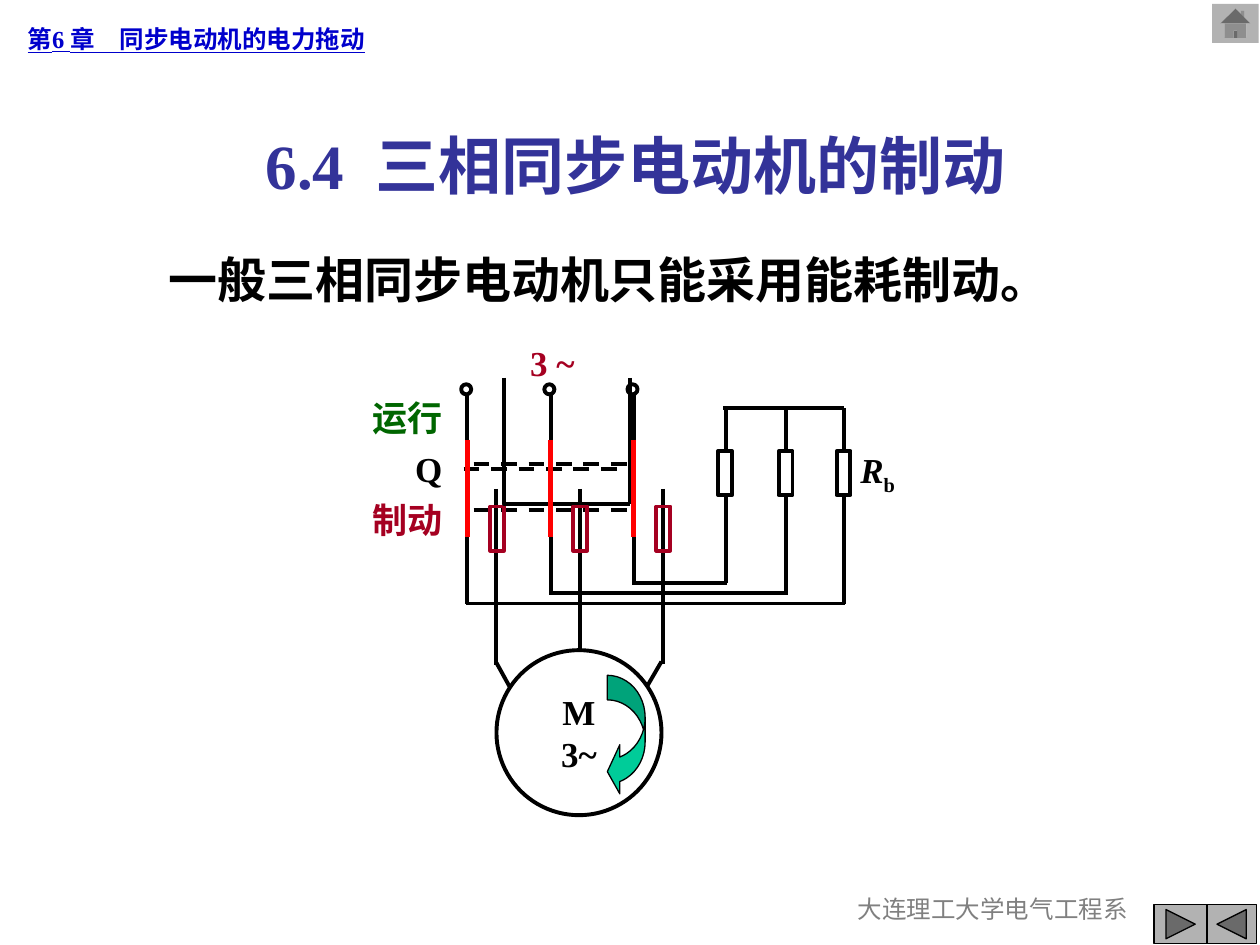
"""Build the slide on braking a three-phase synchronous motor."""
from lxml.etree import SubElement
from pptx import Presentation
from pptx.dml.color import RGBColor
from pptx.enum.dml import MSO_LINE
from pptx.enum.shapes import MSO_CONNECTOR, MSO_SHAPE
from pptx.enum.text import MSO_ANCHOR, MSO_AUTO_SIZE, PP_ALIGN
from pptx.oxml.ns import qn
from pptx.util import Inches, Pt

BLACK = RGBColor(0x00, 0x00, 0x00)
WHITE = RGBColor(0xFF, 0xFF, 0xFF)
RED = RGBColor(0xFF, 0x00, 0x00)
CRIMSON = RGBColor(0xA5, 0x00, 0x21)
GREEN = RGBColor(0x00, 0x66, 0x00)
TEAL = RGBColor(0x00, 0xCC, 0x99)
INDIGO = RGBColor(0x33, 0x33, 0x99)
BLUE = RGBColor(0x00, 0x00, 0xCC)
GRAY = RGBColor(0x80, 0x80, 0x80)
SILVER = RGBColor(0xB2, 0xB2, 0xB2)
FONT = "Times New Roman"

TITLE = "6.4  三相同步电动机的制动"
STATEMENT = "一般三相同步电动机只能采用能耗制动。"
CHAPTER = "第6 章　同步电动机的电力拖动"
DEPARTMENT = "大连理工大学电气工程系"
SWITCH_LABELS = [("运行", GREEN), ("Q", BLACK), ("制动", CRIMSON)]
MOTOR_LABELS = [("M", BLACK), ("3~", BLACK)]

PHASE_LEFT, PHASE_GAP = 3.71, 0.66
RESISTOR_XS = [6.7, 6.24, 5.76]
MOTOR_LEAD_ENDS = [5.28, 5.17, 5.27]
BUS_BOTTOM, BUS_GAP = 4.79, 0.08
STAR_Y, BLADE_TOP, PIVOT_Y, BRAKE_Y = 3.24, 3.49, 3.88, 4.26
LINKAGES = [((3.76, 3.68), (5.04, 3.68)), ((3.68, 3.72), (4.98, 3.72)),
            ((3.76, 4.05), (5.03, 4.05))]
MOTOR_TAPS = [((3.94, 5.26), (4.05, 5.46)), ((5.25, 5.25), (5.14, 5.44))]
BUTTONS = [
    (MSO_SHAPE.ACTION_BUTTON_FORWARD_OR_NEXT, (9.16, 7.18, 0.42, 0.31), BLACK),
    (MSO_SHAPE.ACTION_BUTTON_BACK_OR_PREVIOUS, (9.58, 7.18, 0.39, 0.31), BLACK),
    (MSO_SHAPE.ACTION_BUTTON_HOME, (9.62, 0.03, 0.37, 0.31), None),
]


def inches(values):
    return [Inches(value) for value in values]


def paint(shape, fill, outline, width):
    shape.shadow.inherit = False
    if fill is None:
        shape.fill.background()
    else:
        shape.fill.solid()
        shape.fill.fore_color.rgb = fill
    if outline is None:
        shape.line.fill.background()
    else:
        shape.line.color.rgb = outline
        shape.line.width = Pt(width)


def add_part(slide, kind, box, fill=None, outline=BLACK, width=2.25):
    part = slide.shapes.add_shape(kind, *inches(box))
    paint(part, fill, outline, width)
    return part


def add_wire(slide, start, end, color=BLACK, width=2.25, dashed=False):
    wire = slide.shapes.add_connector(MSO_CONNECTOR.STRAIGHT, *inches(start + end))
    wire.line.color.rgb = color
    wire.line.width = Pt(width)
    if dashed:
        wire.line.dash_style = MSO_LINE.DASH
    SubElement(wire._element.spPr, qn("a:effectLst"))


def style(font, size, color, bold=True):
    font.name, font.size, font.bold = FONT, Pt(size), bold
    font.color.rgb = color


def write(shape, lines, size, align=PP_ALIGN.LEFT, anchor=MSO_ANCHOR.TOP,
          bold=True, wrap=True, gap=0):
    frame = shape.text_frame
    frame.auto_size = MSO_AUTO_SIZE.NONE
    frame.word_wrap = wrap
    frame.vertical_anchor = anchor
    frame.text = "\n".join(text for text, _ in lines)
    for index, (paragraph, (_, color)) in enumerate(zip(frame.paragraphs, lines)):
        paragraph.alignment = align
        paragraph.space_before = Pt(gap if index else 0)
        for run in paragraph.runs:
            style(run.font, size, color, bold)
    return frame


def add_label(slide, box, lines, size, **options):
    return write(slide.shapes.add_textbox(*inches(box)), lines, size, **options)


def add_phase(slide, index):
    x = PHASE_LEFT + index * PHASE_GAP
    lead_x = x + 0.23
    bus_y = BUS_BOTTOM - index * BUS_GAP
    resistor_x = RESISTOR_XS[index]
    add_wire(slide, (x, 3.13), (x, 3.55))
    add_part(slide, MSO_SHAPE.OVAL, (x - 0.05, 3.05, 0.08, 0.08), WHITE)
    blade = slide.shapes.build_freeform(x - 0.13, BLADE_TOP, scale=Inches(1))
    blade.add_line_segments([(x, PIVOT_Y), (x + 0.25, PIVOT_Y)], close=False)
    paint(blade.convert_to_shape(), None, BLACK, 2.25)
    add_wire(slide, (lead_x, PIVOT_Y), (lead_x, MOTOR_LEAD_ENDS[index]))
    add_part(slide, MSO_SHAPE.RECTANGLE, (x + 0.18, 4.02, 0.11, 0.35), outline=CRIMSON)
    add_wire(slide, (x, 4.22), (x, bus_y))
    add_wire(slide, (x - 0.01, bus_y), (resistor_x + 0.01, bus_y))
    add_wire(slide, (resistor_x, STAR_Y), (resistor_x, bus_y))
    add_part(slide, MSO_SHAPE.RECTANGLE, (resistor_x - 0.06, 3.58, 0.11, 0.35), WHITE)
    for start, end in ((BLADE_TOP, PIVOT_Y), (PIVOT_Y - 0.02, BRAKE_Y)):
        add_wire(slide, (x, start), (x, end), RED, 3)


def add_circuit(slide):
    for start, end in LINKAGES:
        add_wire(slide, start, end, dashed=True)
    for index in range(len(RESISTOR_XS)):
        add_phase(slide, index)
    add_wire(slide, (5.74, STAR_Y), (6.7, STAR_Y))
    for start, end in MOTOR_TAPS:
        add_wire(slide, start, end)

    motor = add_part(slide, MSO_SHAPE.OVAL, (3.94, 5.16, 1.31, 1.31))
    write(motor, MOTOR_LABELS, 20, align=PP_ALIGN.CENTER,
          anchor=MSO_ANCHOR.MIDDLE, wrap=False)
    rotation = add_part(slide, MSO_SHAPE.CURVED_DOWN_ARROW,
                        (4.49, 5.69, 0.96, 0.3), TEAL, width=0.75)
    rotation.rotation = 90
    for index, ratio in enumerate((0.65, 1.3, 0.33)):
        rotation.adjustments[index] = ratio

    add_label(slide, (4.11, 2.66, 0.76, 0.44), [("3 ~", CRIMSON)], 20)
    add_label(slide, (2.75, 3.1, 0.86, 1.24), SWITCH_LABELS, 20,
              align=PP_ALIGN.RIGHT, gap=5)
    resistance = add_label(slide, (6.73, 3.51, 0.47, 0.48), [("R", BLACK)], 20, wrap=False)
    symbol = resistance.paragraphs[0]
    symbol.runs[0].font.italic = True
    subscript = symbol.add_run()
    subscript.text = "b"
    style(subscript.font, 20, BLACK)
    subscript._r.get_or_add_rPr().set("baseline", "-25000")


def main():
    deck = Presentation()
    deck.slide_width, deck.slide_height = Inches(10), Inches(7.5)
    slide = deck.slides.add_slide(deck.slide_layouts[5])

    title = slide.shapes.title
    title.left, title.top, title.width, title.height = inches((1.82, 0.95, 6.45, 0.7))
    write(title, [(TITLE, INDIGO)], 36, align=PP_ALIGN.CENTER, anchor=MSO_ANCHOR.MIDDLE)
    add_label(slide, (1.24, 1.93, 7.93, 0.57), [(STATEMENT, BLACK)], 28)
    add_label(slide, (6, 7.05, 3.76, 0.5), [(DEPARTMENT, GRAY)], 14,
              align=PP_ALIGN.CENTER, bold=False)
    chapter = add_label(slide, (0.12, 0.14, 3.19, 0.34), [(CHAPTER, BLUE)], 14,
                        anchor=MSO_ANCHOR.MIDDLE)
    chapter.paragraphs[0].runs[0].font.underline = True

    add_circuit(slide)
    for kind, box, outline in BUTTONS:
        add_part(slide, kind, box, SILVER, outline, 0.75)
    deck.save("out.pptx")


if __name__ == "__main__":
    main()
